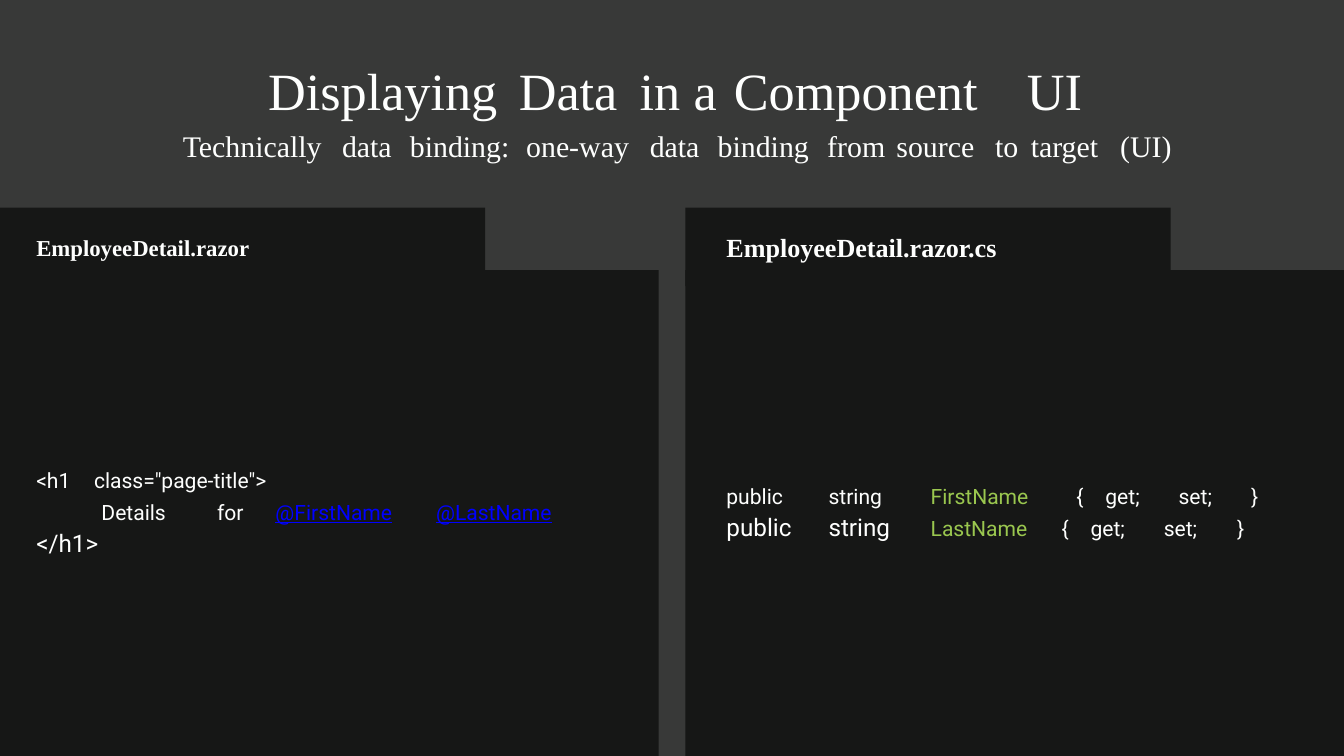
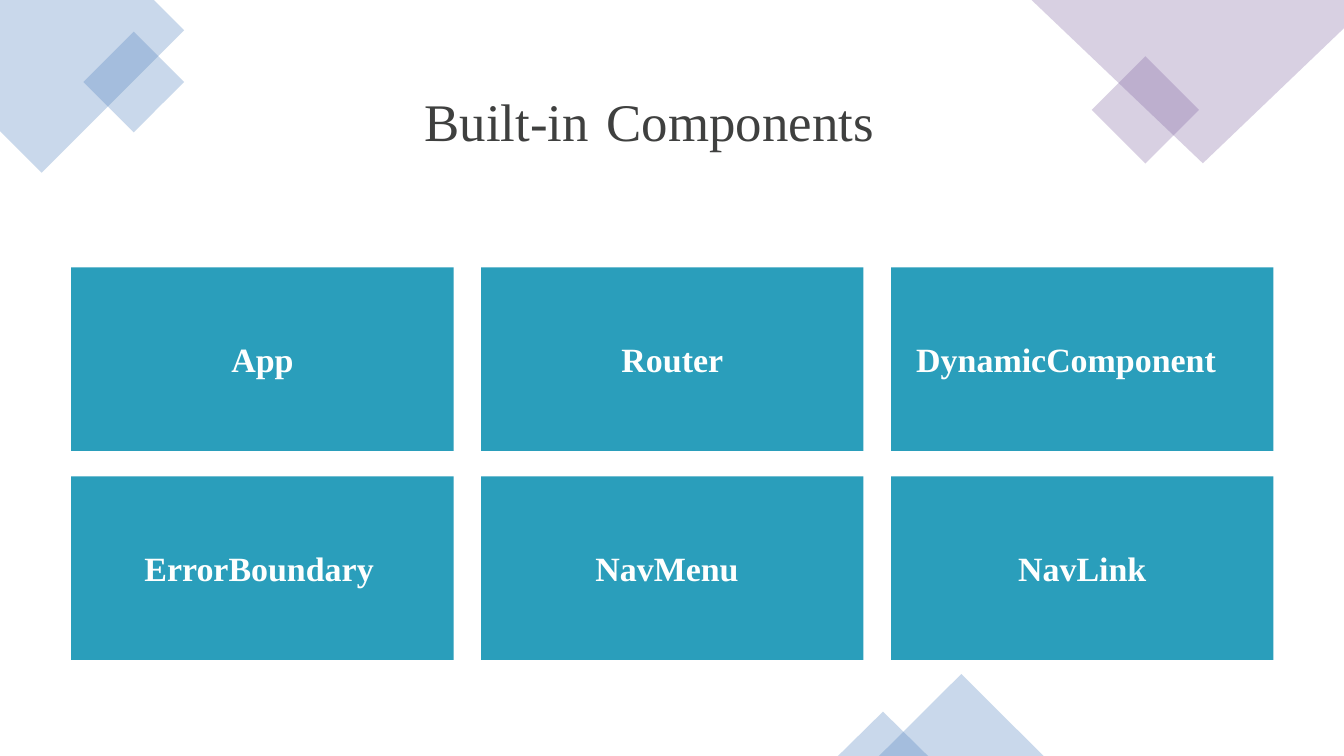
from dataclasses import dataclass
from itertools import product

from lxml import etree
from pptx import Presentation
from pptx.dml.color import RGBColor
from pptx.enum import shapes as sh, text as tx
from pptx.oxml.ns import qn
from pptx.util import Inches, Pt

WHITE, DARK, PANEL, INK = "FEFFFE", "383938", "161716", "3F403F"
GREEN, LINK, TEAL = "9AC74F", "0000FF", "2A9EBB"
BLUE, MAUVE = "4F81BD", "8064A2"
SERIF, SANS = "Times New Roman", "Roboto"
BOX = sh.MSO_SHAPE.RECTANGLE
TENT = sh.MSO_SHAPE.ISOSCELES_TRIANGLE


@dataclass
class Word:
    at: float
    text: str
    hue: str = ""
    size: float = 0


def rgb(hue):
    return RGBColor.from_string(hue)


def style(font, name, size, hue, bold=False):
    font.name, font.size, font.bold = name, Pt(size), bold
    font.color.rgb = rgb(hue)


def paint(shape, hue, alpha=100):
    shape.shadow.inherit = False
    shape.line.fill.background()
    shape.fill.solid()
    shape.fill.fore_color.rgb = rgb(hue)
    if alpha < 100:
        tone = shape.fill._xPr.find(".//" + qn("a:srgbClr"))
        etree.SubElement(tone, qn("a:alpha"), val=str(alpha * 1000))


def add_box(slide, x, y, w, h, hue, alpha=100, kind=BOX, turn=0):
    shape = slide.shapes.add_shape(kind, *map(Inches, (x, y, w, h)))
    shape.rotation = turn
    paint(shape, hue, alpha)
    return shape


def add_free(slide, points, hue, alpha):
    start, *rest = [(Inches(x), Inches(y)) for x, y in points]
    pen = slide.shapes.build_freeform(*start)
    pen.add_line_segments(rest, close=True)
    paint(pen.convert_to_shape(), hue, alpha)


def label(shape, text, size, left=0, right=0, align=tx.PP_ALIGN.LEFT):
    """Write one bold line in the middle of a shape's height."""
    frame = shape.text_frame
    frame.margin_left, frame.margin_right = Inches(left), Inches(right)
    frame.margin_top = frame.margin_bottom = 0
    frame.vertical_anchor = tx.MSO_ANCHOR.MIDDLE
    para = frame.paragraphs[0]
    para.text, para.alignment = text, align
    style(para.font, SERIF, size, WHITE, True)


def set_tabs(para, stops):
    tabs = etree.SubElement(para._p.get_or_add_pPr(), qn("a:tabLst"))
    for stop in stops:
        etree.SubElement(tabs, qn("a:tab"), pos=str(Inches(stop)), algn="l")


def set_rows(shape, x, y, w, rows, name, size, pitch, hue=WHITE):
    """Place rows of words, each word at its own tab stop."""
    shape.left, shape.top = Inches(x), Inches(y)
    shape.width, shape.height = Inches(w), Pt(pitch * len(rows))
    frame = shape.text_frame
    frame.margin_left = frame.margin_right = 0
    frame.margin_top = frame.margin_bottom = 0
    frame.word_wrap, frame.auto_size = True, tx.MSO_AUTO_SIZE.NONE
    frame.vertical_anchor = tx.MSO_ANCHOR.TOP
    for i, row in enumerate(rows):
        para = frame.add_paragraph() if i else frame.paragraphs[0]
        para.alignment = tx.PP_ALIGN.LEFT
        para.line_spacing, para.space_before = Pt(pitch), Pt(0)
        set_tabs(para, [word.at - x for word in row if word.at > x])
        style(para.font, name, size, hue)
        for word in row:
            if word.at > x:
                para.add_run().text = "\t"
            run = para.add_run()
            run.text = word.text
            if word.hue:
                run.font.color.rgb = rgb(word.hue)
            if word.hue == LINK:
                run.font.underline = True
            if word.size:
                run.font.size = Pt(word.size)


def add_rows(slide, *args):
    set_rows(slide.shapes.add_textbox(0, 0, 0, 0), *args)


def line(text, *stops):
    return [Word(at, part) for at, part in zip(stops, text.split())]


def add_slide(deck):
    return deck.slides.add_slide(deck.slide_layouts[5])


def add_pane(slide, x, name, size, inset):
    add_box(slide, x, 4.02, 9.8, 7.23, PANEL)
    label(add_box(slide, x, 3.09, 7.22, 1.17, PANEL), name, size, inset)


def binding(deck):
    slide = add_slide(deck)
    slide.background.fill.solid()
    slide.background.fill.fore_color.rgb = rgb(DARK)
    title = line("Displaying Data in a Component UI",
                 3.99, 7.72, 9.52, 10.32, 10.92, 15.28)
    set_rows(slide.shapes.title, 3.99, 1, 12.9, [title], SERIF, 56, 58)
    lead = line("Technically data binding: one-way data binding from source "
                "to target (UI)", 2.72, 5.09, 6.1, 7.83, 9.67, 10.68,
                12.31, 13.34, 14.81, 15.34, 16.67)
    add_rows(slide, 2.72, 1.97, 15, [lead], SERIF, 32, 33)

    add_pane(slide, 0, "EmployeeDetail.razor", 24.4, 0.54)
    add_pane(slide, 10.2, "EmployeeDetail.razor.cs", 28, 0.61)
    markup = [
        line('<h1 class="page-title">', 0.54, 1.4),
        line("Details for", 1.51, 3.23)
        + [Word(4.1, "@FirstName", LINK), Word(6.49, "@LastName", LINK)],
        [Word(0.54, "</h1>", size=26)],
    ]
    add_rows(slide, 0.54, 6.84, 9, markup, SANS, 22.6, 35)
    fields = [
        line("public string", 10.81, 12.33)
        + [Word(13.85, "FirstName", GREEN)]
        + line("{ get; set; }", 16.02, 16.45, 17.54, 18.62),
        [Word(10.81, "public", size=26), Word(12.33, "string", size=26),
         Word(13.85, "LastName", GREEN)]
        + line("{ get; set; }", 15.8, 16.23, 17.32, 18.41),
    ]
    add_rows(slide, 10.81, 7.08, 9, fields, SANS, 22.6, 35)


def add_decor(slide):
    add_free(slide, [(2.29, 0), (0, 0), (0, 1.95), (0.62, 2.57),
                     (2.74, 0.45)], BLUE, 30)
    add_box(slide, 1.46, 0.69, 1.06, 1.06, BLUE, 30, turn=315)
    add_box(slide, 16.48, 1.07, 1.13, 1.13, MAUVE, 30, turn=315)
    add_free(slide, [(20, 0), (15.35, 0), (17.9, 2.43), (20, 0.42)],
             MAUVE, 30)
    add_box(slide, 13.08, 10.03, 2.45, 1.22, BLUE, 30, TENT)
    add_box(slide, 12.47, 10.59, 1.34, 0.66, BLUE, 30, TENT)


def parts(deck):
    slide = add_slide(deck)
    add_decor(slide)
    title = line("Built-in Components", 6.32, 9.03)
    set_rows(slide.shapes.title, 6.32, 1.45, 7.4, [title], SERIF, 56.6,
             58.6, INK)
    cards = [("App", 0), ("Router", 0), ("DynamicComponent", 0.48),
             ("ErrorBoundary", 0.1), ("NavMenu", 0.16), ("NavLink", 0)]
    for (row, col), (name, right) in zip(product(range(2), range(3)), cards):
        card = add_box(slide, 1.06 + col * 6.1, 3.98 + row * 3.11,
                       5.69, 2.73, TEAL)
        label(card, name, 36.4, right=right, align=tx.PP_ALIGN.CENTER)


def main():
    deck = Presentation()
    deck.slide_width, deck.slide_height = Inches(20), Inches(11.25)
    binding(deck)
    parts(deck)
    deck.save("out.pptx")


if __name__ == "__main__":
    main()
